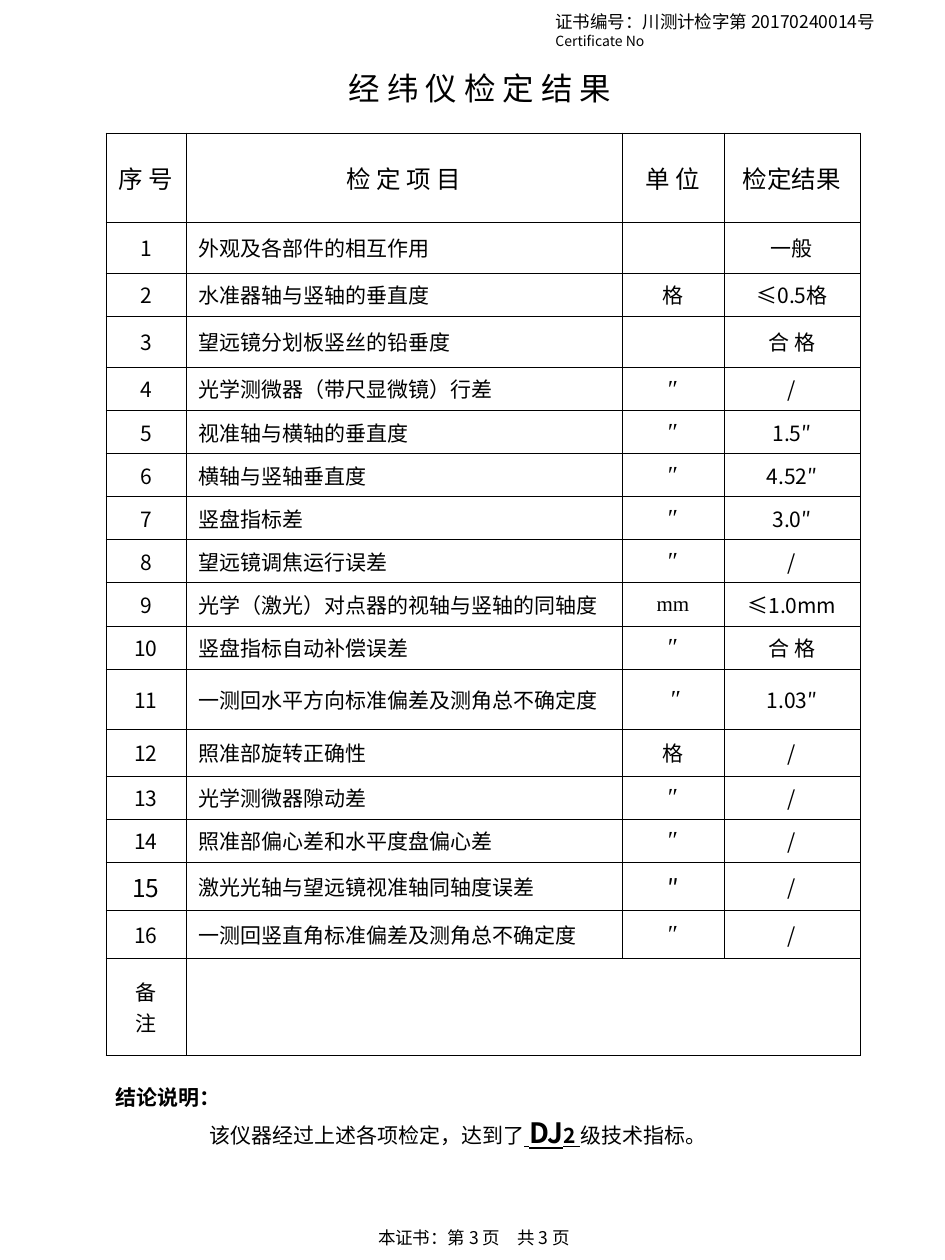
from lxml import etree
from pptx import Presentation
from pptx import util as u
from pptx.dml.color import RGBColor
from pptx.enum import text as t
from pptx.oxml import ns

PX = 914400 // 126
BLACK = RGBColor(0x00, 0x00, 0x00)
SANS, ARIAL, SERIF = "Noto Sans CJK SC", "Arial", "Times New Roman"
LEFT, CENTER = t.PP_ALIGN.LEFT, t.PP_ALIGN.CENTER
MIDDLE, TOP = t.MSO_ANCHOR.MIDDLE, t.MSO_ANCHOR.TOP

COLUMNS = [80, 436, 102, 136]
ROWS = [89, 43, 40, 43, 42, 42, 43, 42, 42, 40, 42, 60, 47, 43, 42, 43, 48, 97]
HEADINGS = ["序 号", "检 定 项 目", "单 位", "检定结果"]
CHECKS = [  # item, unit, result
    ("外观及各部件的相互作用", "", "一般"),
    ("水准器轴与竖轴的垂直度", "格", "≤0.5格"),
    ("望远镜分划板竖丝的铅垂度", "", "合 格"),
    ("光学测微器（带尺显微镜）行差", "″", "/"),
    ("视准轴与横轴的垂直度", "″", "1.5″"),
    ("横轴与竖轴垂直度", "″", "4.52″"),
    ("竖盘指标差", "″", "3.0″"),
    ("望远镜调焦运行误差", "″", "/"),
    ("光学（激光）对点器的视轴与竖轴的同轴度", "mm", "≤1.0mm"),
    ("竖盘指标自动补偿误差", "″", "合 格"),
    ("一测回水平方向标准偏差及测角总不确定度", " ″", "1.03″"),
    ("照准部旋转正确性", "格", "/"),
    ("光学测微器隙动差", "″", "/"),
    ("照准部偏心差和水平度盘偏心差", "″", "/"),
    ("激光光轴与望远镜视准轴同轴度误差", "″", "/"),
    ("一测回竖直角标准偏差及测角总不确定度", "″", "/"),
]
LARGE_NUMBER = 15


def write(paragraph, words, size=12, font=SANS, bold=False, underline=False,
          align=LEFT, before=0):
    """Add one formatted run to a paragraph."""
    paragraph.alignment = align
    paragraph.space_before = u.Pt(before)
    run = paragraph.add_run()
    run.text = words
    run.font.size, run.font.name = u.Pt(size), font
    run.font.bold, run.font.underline = bold, underline
    run.font.color.rgb = BLACK
    east_asian = etree.SubElement(run.font._element, ns.qn("a:ea"))
    east_asian.set("typeface", SANS)


def place(shape, box):
    shape.left, shape.top, shape.width, shape.height = (n * PX for n in box)


def add_box(slide, box, anchor=TOP, wrap=False):
    caption = slide.shapes.add_textbox(*(n * PX for n in box))
    frame = caption.text_frame
    frame.word_wrap = wrap
    frame.vertical_anchor = anchor
    frame.auto_size = t.MSO_AUTO_SIZE.SHAPE_TO_FIT_TEXT
    return frame


def rule_cell(cell):
    """Clear the fill and draw thin black lines on all four sides."""
    cell.fill.background()
    properties = cell._tc.get_or_add_tcPr()
    for place_in_order, side in enumerate(("lnL", "lnR", "lnT", "lnB")):
        line = etree.Element(ns.qn("a:" + side), w=str(u.Pt(0.45)))
        fill = etree.SubElement(line, ns.qn("a:solidFill"))
        etree.SubElement(fill, ns.qn("a:srgbClr"), val=str(BLACK))
        properties.insert(place_in_order, line)


def certificate_number(slide, box):
    frame = add_box(slide, box, MIDDLE, wrap=True)
    number = frame.paragraphs[0]
    write(number, "证书编号：川测计检字第 ", 10, ARIAL)
    write(number, "20170240014", 10)
    write(number, "号", 10, ARIAL)
    write(frame.add_paragraph(), "Certificate No", 8)


def heading(slide, box):
    title = slide.shapes.title
    place(title, box)
    frame = title.text_frame
    frame.word_wrap = False
    frame.auto_size = t.MSO_AUTO_SIZE.NONE
    frame.vertical_anchor = MIDDLE
    write(frame.paragraphs[0], "经 纬 仪 检 定 结 果", 18, align=CENTER)


def results_table(slide, left, top):
    frame = slide.shapes.add_table(len(ROWS), len(COLUMNS), left * PX, top * PX,
                                   sum(COLUMNS) * PX, sum(ROWS) * PX)
    results = frame.table
    results.first_row = results.horz_banding = False
    for column, width in zip(results.columns, COLUMNS):
        column.width = width * PX
    for row, height in zip(results.rows, ROWS):
        row.height = height * PX
    for cell in results.iter_cells():
        rule_cell(cell)
        cell.vertical_anchor = MIDDLE

    def fill(row, column, words, **style):
        if words:
            write(results.cell(row, column).text_frame.paragraphs[0], words, **style)

    for column, words in enumerate(HEADINGS):
        fill(0, column, words, size=14, align=CENTER)
    for row, (item, unit, result) in enumerate(CHECKS, 1):
        large = row == LARGE_NUMBER
        fill(row, 0, str(row), size=14 if large else 12, align=CENTER)
        fill(row, 1, item)
        fill(row, 2, unit, size=14 if "″" in unit else 12,
             font=SANS if large else SERIF, align=CENTER)
        fill(row, 3, result, align=CENTER, before=3)

    # Remarks row
    last = len(ROWS) - 1
    results.cell(last, 1).merge(results.cell(last, 3))
    fill(last, 0, "备", align=CENTER)
    write(results.cell(last, 0).text_frame.add_paragraph(), "注", align=CENTER)


def conclusion(slide, label_box, statement_box):
    label = add_box(slide, label_box)
    write(label.paragraphs[0], "结论说明：", font=ARIAL, bold=True)
    statement = add_box(slide, statement_box, MIDDLE).paragraphs[0]
    statement._p.get_or_add_pPr().set("marL", str(14 * PX))
    write(statement, "该仪器经过上述各项检定，达到了")
    write(statement, " ", underline=True)
    write(statement, "DJ", 16, bold=True, underline=True)
    write(statement, "2", bold=True, underline=True)
    write(statement, " ", underline=True)
    write(statement, "级技术指标。")


def page_count(slide, box):
    pages = add_box(slide, box).paragraphs[0]
    for words, font in (("本证书：第 ", ARIAL), ("3 ", SANS), ("页　共 ", ARIAL),
                        ("3 ", SANS), ("页", ARIAL)):
        write(pages, words, 10, font, align=CENTER)


def main():
    deck = Presentation()
    deck.slide_width, deck.slide_height = u.Inches(7.5), u.Inches(10)
    slide = deck.slides.add_slide(deck.slide_layouts[5])
    results_table(slide, 106, 133)
    conclusion(slide, (103, 1078, 130, 38), (183, 1109, 548, 47))
    heading(slide, (320, 63, 320, 50))
    page_count(slide, (344, 1221, 260, 34))
    certificate_number(slide, (543, 5, 357, 50))
    deck.save("out.pptx")


if __name__ == "__main__":
    main()
